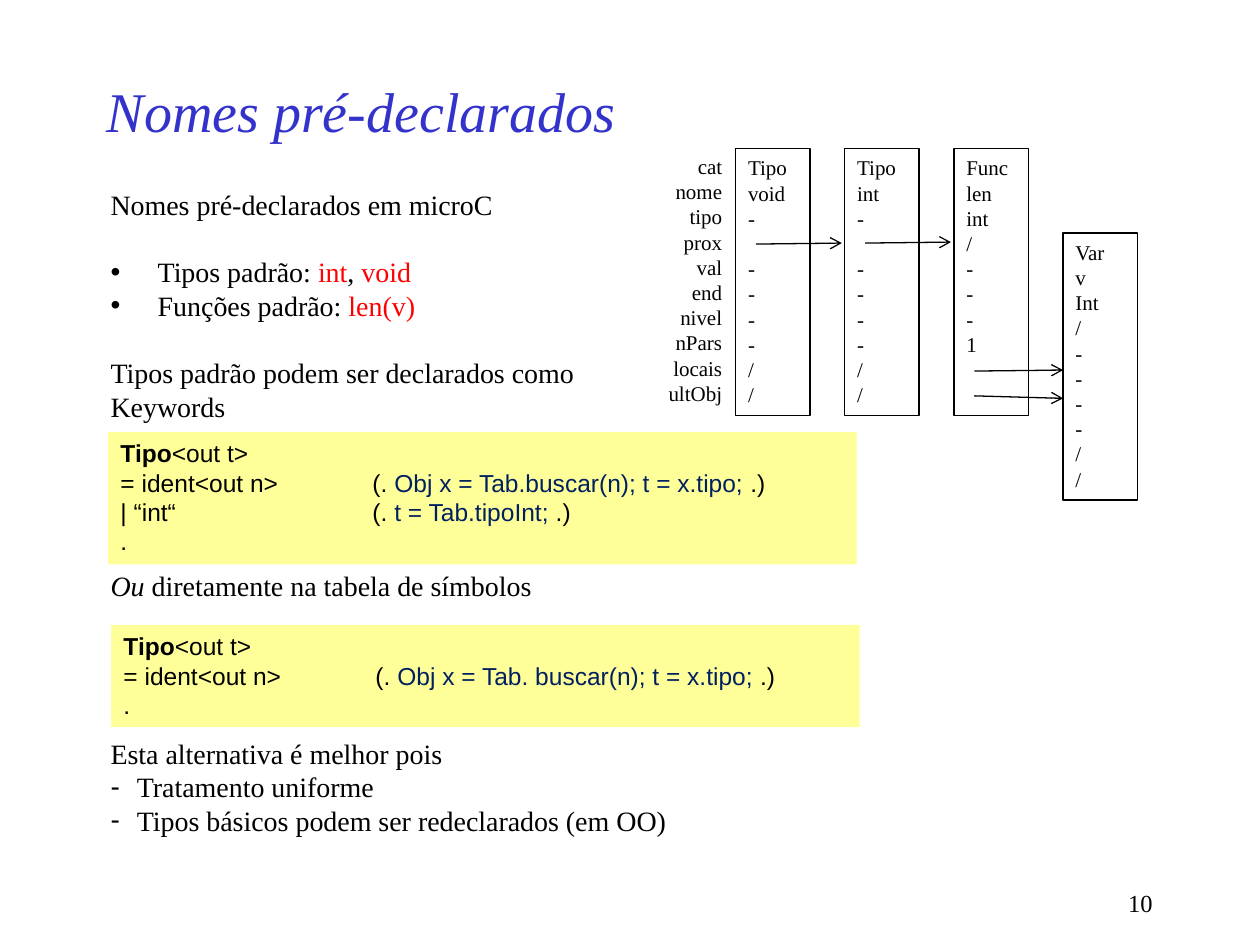
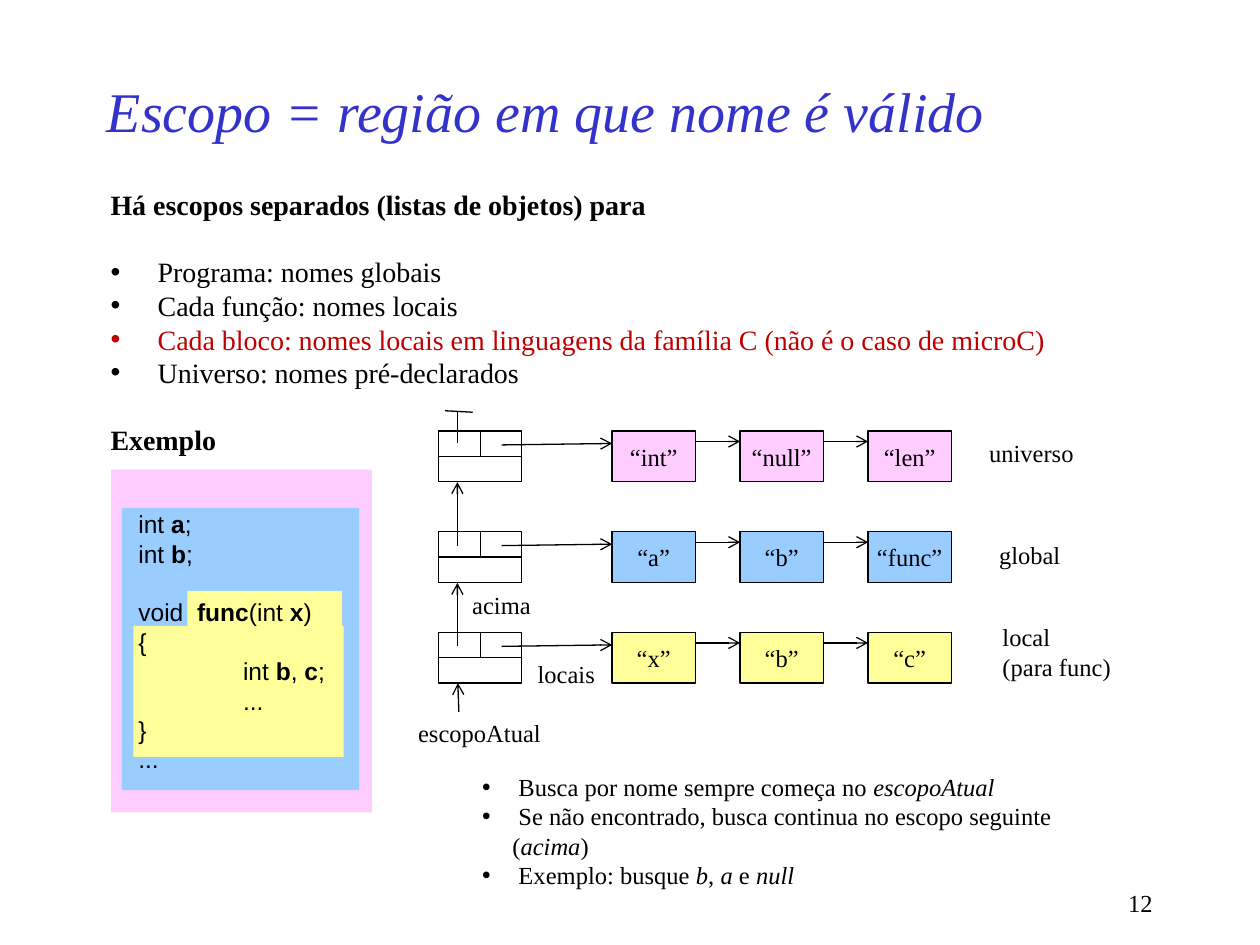
from dataclasses import dataclass
from itertools import pairwise

from lxml.etree import SubElement
from pptx import Presentation
from pptx.dml.color import RGBColor
from pptx.enum.shapes import MSO_CONNECTOR, MSO_SHAPE
from pptx.enum.text import MSO_ANCHOR, MSO_AUTO_SIZE, PP_ALIGN
from pptx.oxml.ns import qn
from pptx.util import Cm, Pt

COLOURS = {
    "title": "3333CC", "black": "000000", "red": "FF0000", "dark red": "C00000",
    "navy": "002060", "yellow": "FFFF99", "blue": "99CCFF", "pink": "FFCCFF",
}
SERIF, SANS = "Times New Roman", "Arial"
LINE_HEIGHT = 1.2
CODE_TABS = (2.11, 2.64, 5.08)


@dataclass
class Line:
    """One paragraph: spans are strings or (text, style) pairs; gap counts points."""
    spans: list
    gap: float = 0
    bullet: str = ""
    indent: float = 0


def colour(name):
    """Return the named colour."""
    return RGBColor.from_string(COLOURS[name])


def set_bullet(para, mark, indent):
    """Give a paragraph a hanging bullet."""
    props = para._p.get_or_add_pPr()
    props.set("marL", str(Cm(indent)))
    props.set("indent", str(-Cm(indent)))
    SubElement(props, qn("a:buFont")).set("typeface", SANS)
    SubElement(props, qn("a:buChar")).set("char", mark)


def set_tabs(para, stops):
    """Add left tab stops to a paragraph."""
    tabs = SubElement(para._p.get_or_add_pPr(), qn("a:tabLst"))
    for stop in stops:
        tab = SubElement(tabs, qn("a:tab"))
        tab.set("pos", str(Cm(stop)))
        tab.set("algn", "l")


def add_span(para, content, size, font):
    """Add a run; its style is bold, italic or the name of a colour."""
    text, style = (content, "") if isinstance(content, str) else content
    span = para.add_run()
    span.text = text
    span.font.name, span.font.size = font, Pt(size)
    span.font.bold, span.font.italic = style == "bold", style == "italic"
    span.font.color.rgb = colour(style if style in COLOURS else "black")


def write(box, lines, size, font=SERIF, align=PP_ALIGN.LEFT, wrap=True,
          anchor=MSO_ANCHOR.TOP, tabs=()):
    """Fill a box with lines, each a Line or a plain string."""
    frame = box.text_frame
    frame.word_wrap, frame.vertical_anchor = wrap, anchor
    frame.auto_size = MSO_AUTO_SIZE.NONE
    for number, line in enumerate(lines):
        if isinstance(line, str):
            line = Line([line])
        para = frame.add_paragraph() if number else frame.paragraphs[0]
        para.alignment = align
        para.line_spacing = Pt(size * LINE_HEIGHT)
        para.space_before = Pt(line.gap)
        if line.bullet:
            set_bullet(para, line.bullet, line.indent)
        if tabs:
            set_tabs(para, tabs)
        for content in line.spans:
            add_span(para, content, size, font)


def add_text(page, place, lines, size=14, **options):
    """Add a text box at place (left, top, width, height)."""
    write(page.shapes.add_textbox(*map(Cm, place)), lines, size, **options)


def add_box(page, place, fill=None, outlined=False):
    """Add a flat rectangle."""
    box = page.shapes.add_shape(MSO_SHAPE.RECTANGLE, *map(Cm, place))
    box.shadow.inherit = False
    if fill:
        box.fill.solid()
        box.fill.fore_color.rgb = colour(fill)
    else:
        box.fill.background()
    if outlined:
        box.line.color.rgb, box.line.width = colour("black"), Pt(0.75)
    else:
        box.line.fill.background()
    return box


def add_line(page, start, end, arrow=True):
    """Draw a thin black line, with an arrowhead at its end if wanted."""
    line = page.shapes.add_connector(MSO_CONNECTOR.STRAIGHT, *map(Cm, start + end))
    line.line.color.rgb, line.line.width = colour("black"), Pt(0.75)
    props = line.element.spPr
    if arrow:
        SubElement(props.find(qn("a:ln")), qn("a:tailEnd")).set("type", "arrow")
    SubElement(props, qn("a:effectLst"))


def add_page(deck, title, number):
    """Add a slide with its title and page number."""
    page = deck.slides.add_slide(deck.slide_layouts[5])
    heading = page.shapes.title
    heading.left, heading.top = Cm(1.9), Cm(1.27)
    heading.width, heading.height = Cm(19.05), Cm(1.9)
    frame = heading.text_frame
    frame.text = title
    frame.auto_size, frame.vertical_anchor = MSO_AUTO_SIZE.NONE, MSO_ANCHOR.MIDDLE
    para = frame.paragraphs[0]
    para.alignment = PP_ALIGN.LEFT
    font = para.runs[0].font
    font.name, font.size, font.italic = SERIF, Pt(32), True
    font.color.rgb = colour("title")
    add_text(page, (18.21, 17.78, 5.28, 0.84), [number], align=PP_ALIGN.RIGHT)
    return page


def point(*spans, gap=0):
    """Return a main bullet of the body text."""
    return Line(list(spans), gap, "•", 0.95)


def dash(text):
    """Return a dashed item of the body text."""
    return Line([text], bullet="-", indent=0.53)


def add_code(page, place, lines):
    """Add a yellow panel with grammar code."""
    write(add_box(page, place, "yellow"), lines, 14, SANS, tabs=CODE_TABS)


def add_records(page):
    """Draw the linked symbol table records."""
    left, top, step, width, height = 14.83, 3, 2.2, 1.5, 5.38
    fields = ["cat", "nome", "tipo", "prox", "val", "end", "nivel", "nPars",
              "locais", "ultObj"]
    add_text(page, (13.21, 2.97, 1.6, height), fields, 12,
             align=PP_ALIGN.RIGHT, wrap=False)
    after_link = Line(["-"], gap=12 * LINE_HEIGHT)
    type_rest = ["-", after_link, "-", "-", "-", "/", "/"]
    records = [
        (top, ["Tipo", "void"] + type_rest),
        (top, ["Tipo", "int"] + type_rest),
        (top, ["Func", "len", "int", "/", "-", "-", "-", "1"]),
        (4.7, ["Var", "v", "Int", "/", "-", "-", "-", "-", "/", "/"]),
    ]
    for column, (y, values) in enumerate(records):
        box = add_box(page, (left + column * step, y, width, height), outlined=True)
        write(box, values, 12)
    for column, y, end_y in [(0, 4.92, 4.9), (1, 4.9, 4.88),
                             (2, 7.48, 7.46), (2, 7.98, 8.03)]:
        x = left + column * step
        reach = 2.14 if column < 2 else step
        add_line(page, (x + 0.41, y), (x + reach, end_y))


def predeclared_names(deck):
    """Build the slide on predeclared names."""
    page = add_page(deck, "Nomes pré-declarados", "10")
    blank = 16 * LINE_HEIGHT
    add_text(page, (1.98, 3.66, 21.89, 13.79), [
        "Nomes pré-declarados em microC",
        point("Tipos padrão: ", ("int", "red"), ", ", ("void", "red"), gap=blank),
        point("Funções padrão: ", ("len(v)", "red")),
        Line(["Tipos padrão podem ser declarados como "], blank),
        "Keywords",
        Line([("Ou ", "italic"), "diretamente na tabela de símbolos"], 83.2),
        Line(["Esta alternativa é melhor pois"], 76.8),
        dash("Tratamento uniforme"),
        dash("Tipos básicos podem ser redeclarados (em OO)"),
    ], 16)
    head = Line([("Tipo", "bold"), "<out t>"])
    add_code(page, (2.18, 8.71, 15.09, 2.67), [
        head,
        Line(["= ident<out n>\t(. ", ("Obj x = Tab.buscar(n); t = x.tipo; ", "navy"), ".)"]),
        Line(["| “int“\t\t\t(. ", ("t = Tab.tipoInt; ", "navy"), ".)"]),
        ".",
    ])
    add_code(page, (2.24, 12.6, 15.09, 2.06), [
        head,
        Line(["= ident<out n>\t(. ", ("Obj x = Tab. buscar(n); t = x.tipo; ", "navy"), ".)"]),
        ".",
    ])
    add_records(page)


def add_nested_code(page):
    """Draw the program whose scopes are shown as nested panels."""
    for fill, place in [
        ("pink", (2.24, 9.47, 5.26, 6.91)),
        ("blue", (2.46, 10.24, 4.78, 5.69)),
        ("yellow", (2.69, 12.62, 4.24, 2.64)),
        ("yellow", (3.78, 11.91, 3.12, 0.71)),
    ]:
        add_box(page, place, fill)
    add_text(page, (2.54, 10.14, 4.6, 5.66), [
        Line(["int ", ("a", "bold"), ";"]),
        Line(["int ", ("b", "bold"), ";"]),
        Line(["void  ", ("func", "bold"), "(int ", ("x", "bold"), ")"],
             gap=14 * LINE_HEIGHT),
        "{",
        Line(["\tint ", ("b", "bold"), ", ", ("c", "bold"), ";"]),
        "\t...",
        "}",
        "...",
    ], font=SANS, tabs=CODE_TABS)


def add_scope(page, y, fill, names):
    """Draw a scope cell and the chain of its objects."""
    cell_x, first_x, step, width, height = 8.84, 12.34, 2.58, 1.68, 1.02
    middle, half = y + height / 2, cell_x + width / 2
    add_box(page, (cell_x, y, width, height), outlined=True)
    add_line(page, (cell_x, middle), (cell_x + width, middle), arrow=False)
    add_line(page, (half, middle), (half, y), arrow=False)
    add_line(page, (10.11, y + 0.28), (first_x, y + 0.25))
    lefts = [first_x + step * column for column in range(len(names))]
    for x, name in zip(lefts, names):
        box = add_box(page, (x, y, width, height), fill, outlined=True)
        write(box, [f"“{name}”"], 14, align=PP_ALIGN.CENTER, wrap=False,
              anchor=MSO_ANCHOR.MIDDLE)
    for x, next_x in pairwise(lefts):
        add_line(page, (x + width, y + 0.21), (next_x, y + 0.21))


def add_scope_chain(page):
    """Draw the three scopes, linked upwards, and their labels."""
    top, step, link_x = 8.69, 2.03, 9.22
    scopes = [("pink", ["int", "null", "len"]), ("blue", ["a", "b", "func"]),
              ("yellow", ["x", "b", "c"])]
    for row, (fill, names) in enumerate(scopes):
        y = top + row * step
        add_scope(page, y, fill, names)
        if row:
            add_line(page, (link_x, y + 0.28), (link_x, y - 1))
    add_line(page, (link_x, top + 0.25), (link_x, 8.31), arrow=False)
    add_line(page, (8.97, 8.28), (9.53, 8.31), arrow=False)
    add_line(page, (9.25, 14.35), (9.23, 13.77))
    for place, lines in [
        ((8.18, 14.35, 3.02, 0.86), ["escopoAtual"]),
        ((10.59, 13.16, 1.68, 0.86), ["locais"]),
        ((9.27, 11.76, 1.7, 0.86), ["acima"]),
        ((19.69, 8.71, 2.24, 0.86), ["universo"]),
        ((19.89, 10.77, 1.75, 0.86), ["global"]),
        ((19.96, 12.42, 2.72, 1.45), ["local", "(para func)"]),
    ]:
        add_text(page, place, lines, wrap=False)


def scopes_of_names(deck):
    """Build the slide on scopes."""
    page = add_page(deck, "Escopo = região em que nome é válido", "12")
    blank = 16 * LINE_HEIGHT
    add_text(page, (1.98, 3.66, 21.89, 5.74), [
        Line([("Há escopos separados (listas de objetos) para", "bold")]),
        point("Programa: nomes globais", gap=blank),
        point("Cada função: nomes locais"),
        point(("Cada bloco: nomes locais em linguagens da família C "
               "(não é o caso de microC)", "dark red")),
        point("Universo: nomes pré-declarados"),
        Line([("Exemplo", "bold")], blank),
    ], 16)
    add_nested_code(page)
    add_scope_chain(page)
    rules = [
        [" Busca por nome sempre começa no ", ("escopoAtual", "italic")],
        [" Se não encontrado, busca continua no escopo seguinte (",
         ("acima", "italic"), ")"],
        [" Exemplo: busque ", ("b", "italic"), ", ", ("a", "italic"), " e ",
         ("null", "italic")],
    ]
    add_text(page, (9.47, 15.44, 13.31, 2.06),
             [Line(spans, bullet="•", indent=0.61) for spans in rules])


def main():
    """Build and save the deck."""
    deck = Presentation()
    deck.slide_width, deck.slide_height = Cm(25.4), Cm(19.05)
    predeclared_names(deck)
    scopes_of_names(deck)
    deck.save("out.pptx")


main()
